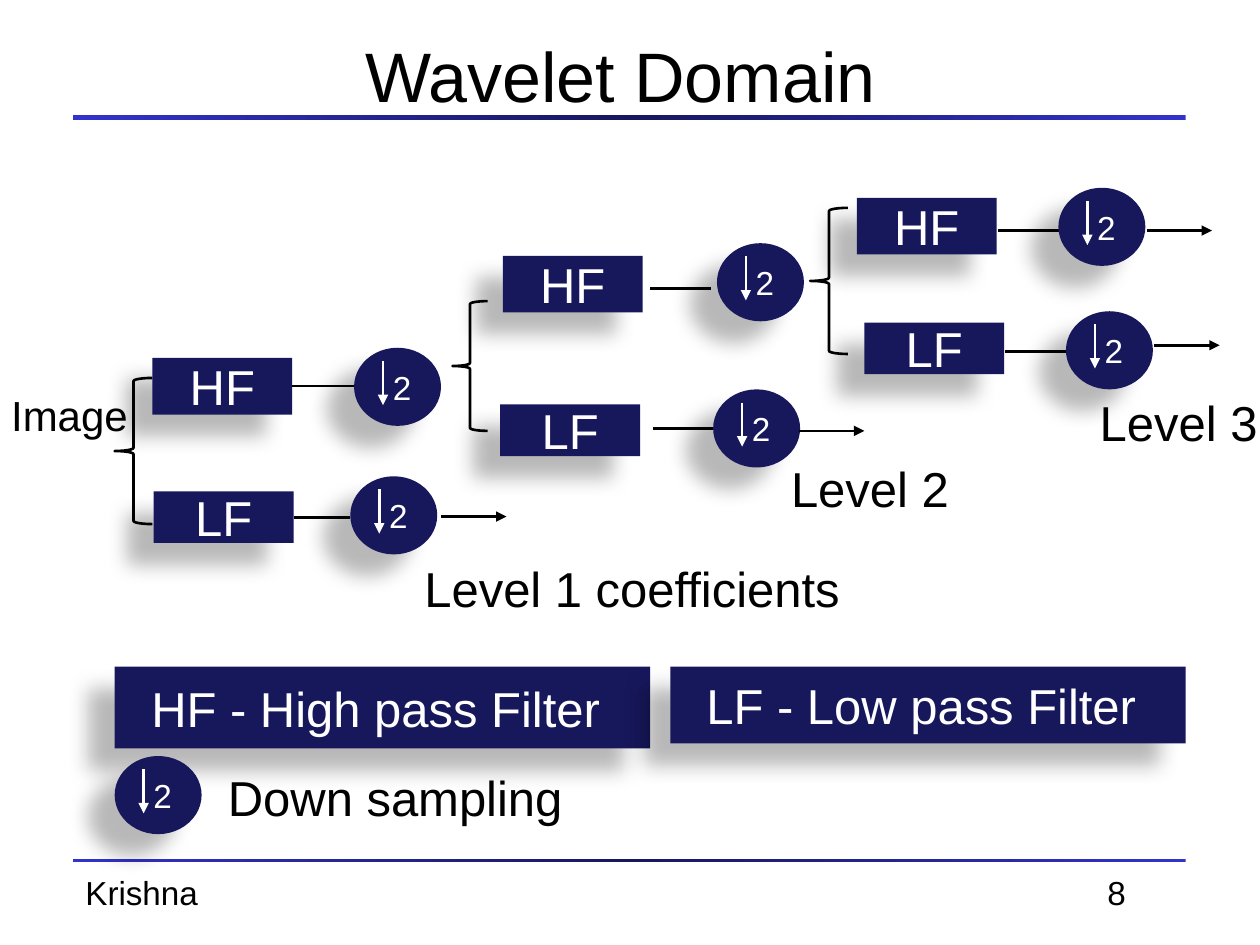
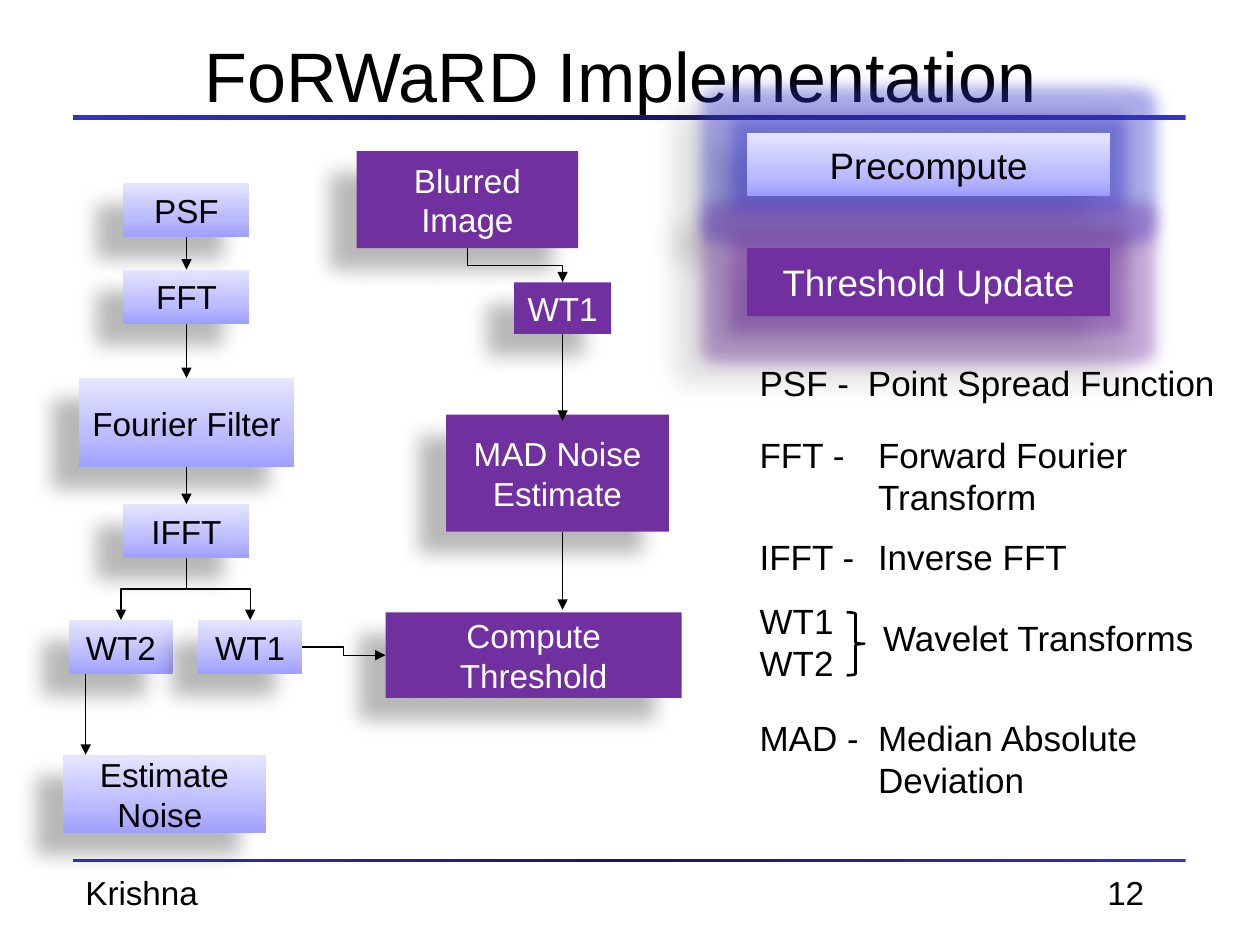
from dataclasses import dataclass

from pptx import Presentation
from pptx.dml.color import RGBColor
from pptx.enum.shapes import MSO_CONNECTOR, MSO_SHAPE
from pptx.enum.text import MSO_ANCHOR, PP_ALIGN
from pptx.oxml.ns import qn
from pptx.oxml.xmlchemy import OxmlElement
from pptx.util import Inches, Pt

RECT, OVAL = MSO_SHAPE.RECTANGLE, MSO_SHAPE.OVAL
LEFT_BRACE, RIGHT_BRACE = MSO_SHAPE.LEFT_BRACE, MSO_SHAPE.RIGHT_BRACE
STRAIGHT, ELBOW = MSO_CONNECTOR.STRAIGHT, MSO_CONNECTOR.ELBOW
CENTER, LEFT = PP_ALIGN.CENTER, PP_ALIGN.LEFT
MIDDLE, TOP_ANCHOR = MSO_ANCHOR.MIDDLE, MSO_ANCHOR.TOP
TOP, LEFT_SIDE, BOTTOM, RIGHT_SIDE = range(4)

# The slide is a grid of 100 columns by 75 rows; all places are in its cells.
COLUMNS, ROWS = 100, 75
CELL = Inches(0.1)
SAMPLER_SIZE = (6.9, 6.2)


@dataclass(frozen=True)
class Theme:
    font: str = "Arial"
    ink: str = "000000"
    paper: str = "FFFFFF"
    navy: str = "17175C"
    blue: str = "3333CC"
    purple: str = "7030A0"
    band: tuple = ((0, "3333CC"), (50, "17175E"), (100, "3333CC"))
    lilac: tuple = ((0, "9F9FFF"), (35, "BBBBFF"), (100, "E5E5FF"))
    title: int = 40
    large: int = 28
    medium: int = 24
    key: int = 21
    definition: int = 20
    small: int = 19


THEME = Theme()


def cells(*counts):
    return [round(count * CELL) for count in counts]


def xml(parent, tag, **attributes):
    child = OxmlElement(tag)
    for name, value in attributes.items():
        child.set(name, str(value))
    parent.append(child)
    return child


def xml_color(parent, color, alpha=None):
    node = xml(parent, "a:srgbClr", val=color)
    if alpha is not None:
        xml(node, "a:alpha", val=alpha * 1000)


def write(frame, text, size=THEME.small, color=THEME.ink, align=LEFT,
          anchor=TOP_ANCHOR, wrap=True, inset=1.0, hang=0):
    """Fill a text frame; hang is the indent, in cells, after a leading term."""
    frame.text = text
    frame.word_wrap = wrap
    frame.vertical_anchor = anchor
    frame.margin_left = frame.margin_right = cells(inset)[0]
    for paragraph in frame.paragraphs:
        paragraph.alignment = align
        font = paragraph.font
        font.name, font.size = THEME.font, Pt(size)
        font.color.rgb = RGBColor.from_string(color)
        if hang:
            indent = cells(hang)[0]
            properties = paragraph._p.get_or_add_pPr()
            properties.set("marL", str(indent))
            properties.set("indent", str(-indent))


def paint(shape, fill, angle):
    """Fill with one colour, or with gradient stops along an angle."""
    if isinstance(fill, str):
        shape.fill.solid()
        shape.fill.fore_color.rgb = RGBColor.from_string(fill)
        return
    shape.fill.gradient()
    shape.fill.gradient_angle = angle
    stops = shape._element.spPr.find(qn("a:gradFill")).find(qn("a:gsLst"))
    for stop in list(stops):
        stops.remove(stop)
    for position, color in fill:
        xml_color(xml(stops, "a:gs", pos=position * 1000), color)


def filled(slide, place, fill, kind=RECT, angle=90):
    shape = slide.shapes.add_shape(kind, *cells(*place))
    shape.shadow.inherit = False
    shape.line.fill.background()
    paint(shape, fill, angle)
    return shape


def block(slide, text, place, fill=THEME.navy, kind=RECT, size=THEME.small,
          glow=None):
    """Add a centred caption on a shape with a soft shadow and, maybe, a glow."""
    shape = filled(slide, place, fill, kind)
    effects = shape._element.spPr.find(qn("a:effectLst"))
    if glow:
        xml_color(xml(effects, "a:glow", rad=Pt(18)), glow, 40)
    shadow = xml(effects, "a:outerShdw", blurRad=Pt(11.8), dist=Pt(19.7),
                 dir=141 * 60000, algn="ctr", rotWithShape=0)
    xml_color(shadow, THEME.ink, 28)
    write(shape.text_frame, text, size=size, align=CENTER, anchor=MIDDLE,
          color=THEME.paper if isinstance(fill, str) else THEME.ink, inset=0.8)
    return shape


def label(slide, text, place, **text_format):
    box = slide.shapes.add_textbox(*cells(*place))
    write(box.text_frame, text, **text_format)


def brace(slide, place, kind=LEFT_BRACE):
    shape = slide.shapes.add_shape(kind, *cells(*place))
    shape.shadow.inherit = False
    shape.fill.background()
    shape.line.color.rgb = RGBColor.from_string(THEME.ink)
    shape.line.width = Pt(1.5)


def link(slide, start=(0, 0), end=(0, 0), source=None, target=None,
         kind=STRAIGHT, color=THEME.ink, width=0.75, arrow=True):
    """Draw a line between points; source and target, (shape, side), join it."""
    line = slide.shapes.add_connector(kind, *cells(*start, *end))
    if source:
        line.begin_connect(*source)
    if target:
        line.end_connect(*target)
    line.line.color.rgb = RGBColor.from_string(color)
    line.line.width = Pt(width)
    if arrow:
        xml(line.line._get_or_add_ln(), "a:tailEnd", type="triangle")
    xml(line._element.spPr, "a:effectLst")
    return line


def drop(slide, upper, lower):
    """Join two blocks by an elbow that leaves downwards."""
    line = link(slide, source=(upper, BOTTOM), target=(lower, TOP), kind=ELBOW)
    x1, y1, x2, y2 = line.begin_x, line.begin_y, line.end_x, line.end_y
    run, fall = abs(x2 - x1), y2 - y1
    line.left, line.top = (x1 + x2 - fall) // 2, (y1 + y2 - run) // 2
    line.width, line.height = fall, run
    turn = line._element.spPr.find(qn("a:xfrm"))
    turn.attrib.pop("flipH", None)
    if x2 > x1:
        turn.set("flipH", "1")
    turn.set("rot", str((270 if x2 > x1 else 90) * 60000))


def sampler(slide, left, top):
    block(slide, " 2", (left, top, *SAMPLER_SIZE), kind=OVAL)
    x, y = left + 2.3, top + 1.05
    link(slide, (x, y), (x, y + 3.5), color=THEME.paper, width=1.5)


def filter_path(slide, name, corner, sample_at, wire=None, exit_at=None):
    """Add filter, wire and sampler; without a wire start the filter is joined."""
    height = 4.5 if name == "HF" else 4.1
    stage = block(slide, name, (*corner, 11.1, height), size=THEME.large)
    if wire:
        link(slide, wire, (wire[0] + 4.85, wire[1]), width=1.5, arrow=False)
    else:
        link(slide, end=(sample_at[0], corner[1] + height / 2),
             source=(stage, RIGHT_SIDE), width=1.5, arrow=False)
    sampler(slide, *sample_at)
    if exit_at:
        link(slide, exit_at, (exit_at[0] + 5.2, exit_at[1]), width=1.5)


def add_slide(deck, title, number):
    slide = deck.slides.add_slide(deck.slide_layouts[5])
    heading = slide.shapes.title
    heading.left, heading.top, heading.width, heading.height = cells(
        7.5, 1.3, 85, 9.2)
    write(heading.text_frame, title, size=THEME.title, align=CENTER,
          anchor=MIDDLE)
    for top, thickness in ((9.1, 0.45), (68.2, 0.2)):
        filled(slide, (5.8, top, 88.3, thickness), THEME.band, angle=0)
    label(slide, "Krishna", (5.8, 68.7, 27.7, 4.2))
    label(slide, number, (86.9, 68.7, 7.3, 4.2))
    return slide


def wavelet_slide(deck):
    slide = add_slide(deck, "Wavelet Domain ", "8")
    for place in ((9.1, 30, 3, 11.6), (35.9, 23.9, 2.8, 10.3),
                  (64.3, 16.5, 3, 11.6)):
        brace(slide, place)

    filter_path(slide, "HF", (12.1, 28.4), (28.1, 27.6))
    filter_path(slide, "LF", (12.2, 39), (27.8, 37.8), exit_at=(35, 41))
    filter_path(slide, "HF", (39.9, 20.3), (56.9, 19.3), wire=(51.6, 22.9))
    filter_path(slide, "LF", (39.7, 32.1), (56.6, 30.9), wire=(51.8, 34),
                exit_at=(63.4, 34.2))
    filter_path(slide, "HF", (68, 15.7), (84, 14.9), wire=(79.2, 18.3),
                exit_at=(91, 18.3))
    filter_path(slide, "LF", (68.6, 25.6), (84.6, 24.7), wire=(79.8, 27.9),
                exit_at=(91.6, 27.4))

    label(slide, "Image", (-0.1, 30.4, 11.4, 5), size=THEME.medium, wrap=False)
    for text, place in (
            ("Level 1 coefficients", (32.7, 43.8, 35.4, 5.7)),
            ("Level 2", (61.8, 35.9, 14.7, 5.7)),
            ("Level 3", (86.3, 30.7, 14.7, 5.7)),
            ("Down sampling", (17.1, 60.4, 28.9, 5.7))):
        label(slide, text, place, size=THEME.large, wrap=False)

    block(slide, "HF - High pass Filter ", (9.1, 52.9, 42.5, 6.5),
          size=THEME.large)
    block(slide, "LF - Low pass Filter ", (53.2, 52.9, 40.9, 6.1),
          size=THEME.large)
    sampler(slide, 9.1, 60)


def implementation_slide(deck):
    slide = add_slide(deck, "FoRWaRD Implementation ", "12")

    def precompute(text, *place):
        return block(slide, text, place, fill=THEME.lilac)

    def threshold(text, *place):
        return block(slide, text, place, fill=THEME.purple)

    psf = precompute("PSF", 9.8, 14.5, 10, 4.3)
    fft = precompute("FFT", 9.8, 21.4, 10, 4.3)
    fourier = precompute("Fourier Filter", 6.25, 30, 17.1, 7.1)
    ifft = precompute("IFFT", 9.8, 40, 10, 4.3)
    second_wavelet = precompute("WT2", 5.5, 49.2, 8.2, 4.3)
    first_wavelet = precompute("WT1", 15.75, 49.2, 8.2, 4.3)
    precompute("Estimate Noise ", 5, 59.9, 16.1, 6.2)

    blurred = threshold("Blurred Image", 28.3, 12, 17.6, 7.7)
    image_wavelet = threshold("WT1", 40.8, 22.4, 7.7, 4.1)
    threshold("MAD Noise Estimate", 35.4, 32.9, 17.7, 9.3)
    compute = threshold("Compute Threshold", 30.6, 48.6, 23.5, 6.8)

    for upper, lower, width in ((psf, fft, 0.75), (fft, fourier, 0.5),
                                (fourier, ifft, 0.5)):
        link(slide, source=(upper, BOTTOM), target=(lower, TOP), width=width)
    for upper, lower in ((ifft, second_wavelet), (ifft, first_wavelet),
                         (blurred, image_wavelet)):
        drop(slide, upper, lower)
    link(slide, source=(first_wavelet, RIGHT_SIDE),
         target=(compute, LEFT_SIDE), kind=ELBOW)
    link(slide, (6.8, 53.5), (6.8, 59.9))
    link(slide, end=(44.65, 33.4), source=(image_wavelet, BOTTOM))
    link(slide, (44.65, 42.2), (44.65, 48.4))

    block(slide, "Precompute", (59.3, 10.6, 28.8, 5), fill=THEME.lilac,
          size=THEME.key, glow=THEME.blue)
    block(slide, "Threshold Update", (59.3, 19.7, 28.8, 5.4),
          fill=THEME.purple, size=THEME.key, glow=THEME.purple)

    for text, top, height, hang in (
            ("PSF -\tPoint Spread Function", 28.2, 4.5, 8.6),
            ("FFT -\tForward Fourier\vTransform", 33.9, 7.7, 9.4),
            ("IFFT -\tInverse FFT", 42, 4.4, 9.4),
            ("MAD -\tMedian Absolute\vDeviation", 56.4, 7.7, 9.4)):
        label(slide, text, (59.3, top, 41.8, height), size=THEME.definition,
              hang=hang)
    label(slide, "WT1\nWT2", (59.3, 47.1, 7.9, 7.7), size=THEME.definition,
          wrap=False)
    brace(slide, (67.2, 48.6, 1.4, 5), RIGHT_BRACE)
    label(slide, "Wavelet Transforms", (69.1, 48.4, 26.8, 4.4),
          size=THEME.definition, wrap=False)


def main():
    deck = Presentation()
    deck.slide_width, deck.slide_height = cells(COLUMNS, ROWS)
    wavelet_slide(deck)
    implementation_slide(deck)
    deck.save("out.pptx")


if __name__ == "__main__":
    main()
